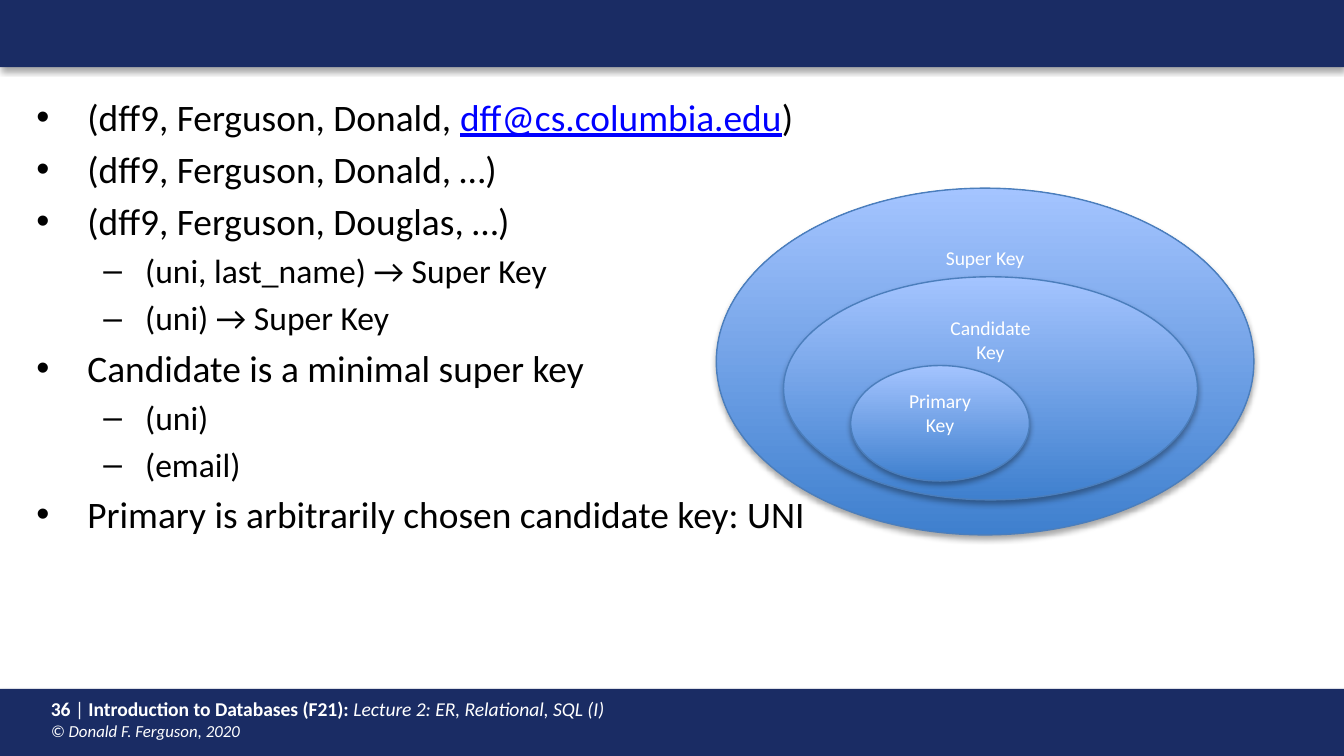
from copy import deepcopy

from lxml import etree
from pptx import Presentation
from pptx.dml.color import RGBColor
from pptx.enum.shapes import MSO_SHAPE
from pptx.enum.text import MSO_ANCHOR, MSO_AUTO_SIZE, PP_ALIGN
from pptx.oxml.ns import qn
from pptx.util import Inches, Pt

RECTANGLE = MSO_SHAPE.RECTANGLE
OVAL = MSO_SHAPE.OVAL
TOP = MSO_ANCHOR.TOP
CENTER = PP_ALIGN.CENTER
NO_AUTOFIT = MSO_AUTO_SIZE.NONE

SLIDE_WIDTH = Inches(10)
SLIDE_HEIGHT = SLIDE_WIDTH * 9 // 16
BAND_HEIGHT = Inches(0.5)

FONT = "Calibri"
NAVY, WHITE, BLACK, LINK_BLUE = "1A2C64", "FFFFFF", "000000", "0000FF"
OVAL_STOPS = ("3F80CE", "A4C4FF")
OVAL_LINE = "4B7EBC"

LEVELS = (
    {"size": 20, "margin": 0.38, "hanging": 0.38, "bullet": "•"},
    {"size": 18, "margin": 0.81, "hanging": 0.31, "bullet": "–"},
)
EMAIL = {"color": LINK_BLUE, "underline": True}
BODY = (
    (0, [("(dff9, Ferguson, Donald, ", {}), ("dff@cs.columbia.edu", EMAIL), (")", {})]),
    (0, [("(dff9, Ferguson, Donald, …)", {})]),
    (0, [("(dff9, Ferguson, Douglas, …)", {})]),
    (1, [("(uni, last_name) → Super Key", {})]),
    (1, [("(uni) → Super Key", {})]),
    (0, [("Candidate is a minimal super key", {})]),
    (1, [("(uni)", {})]),
    (1, [("(email)", {})]),
    (0, [("Primary is arbitrarily chosen candidate key: UNI", {})]),
)
FOOTER = (
    ("36 ", {"bold": True}),
    ("|", {}),
    (" Introduction to Databases (F21): ", {"bold": True}),
    ("Lecture 2: ER, Relational, SQL (I)\n", {"italic": True}),
    ("© Donald F. Ferguson, 2020", {"italic": True, "size": Pt(9)}),
)
KEYS = (
    ("Super Key", (5.33, 1.4, 4, 2.58)),
    ("Candidate\nKey", (5.83, 2.06, 3.08, 1.66)),
    ("Primary\nKey", (6.33, 2.72, 1.33, 0.86)),
)


def color(value):
    return RGBColor.from_string(value)


def add_span(para, text, **formats):
    span = para.add_run()
    span.text = text
    span.font.color.rgb = color(formats.pop("color"))
    for name, value in {"name": FONT, **formats}.items():
        setattr(span.font, name, value)
    return span


def add_lines(para, text, **formats):
    for index, line in enumerate(text.split("\n")):
        if index:
            para.add_line_break()
            line_break = para._p.findall(qn("a:br"))[-1]
            line_break.append(deepcopy(span.font._rPr))
        if line:
            span = add_span(para, line, **formats)


def add_shadow(shape):
    shape.shadow.inherit = False
    effects = shape._element.spPr.find(qn("a:effectLst"))
    shadow = etree.SubElement(
        effects, qn("a:outerShdw"), blurRad=str(Pt(3.1)), dist=str(Pt(1.8)),
        dir="5400000", rotWithShape="0")
    shade = etree.SubElement(shadow, qn("a:srgbClr"), val=BLACK)
    etree.SubElement(shade, qn("a:alpha"), val="35000")


def add_band(slide, top):
    band = slide.shapes.add_shape(RECTANGLE, 0, top, SLIDE_WIDTH, BAND_HEIGHT)
    band.fill.solid()
    band.fill.fore_color.rgb = color(NAVY)
    band.line.fill.background()
    add_shadow(band)


def add_footer(slide):
    box = slide.shapes.add_textbox(*map(Inches, (0.28, 5.14, 7.42, 0.43)))
    box.text_frame.word_wrap = True
    para = box.text_frame.paragraphs[0]
    for text, formats in FOOTER:
        add_lines(para, text, **{"color": WHITE, "size": Pt(10.5), **formats})


def set_bullet(para, level):
    properties = para._p.get_or_add_pPr()
    properties.set("marL", str(Inches(level["margin"])))
    properties.set("indent", str(-Inches(level["hanging"])))
    etree.SubElement(properties, qn("a:buChar"), char=level["bullet"])


def fill_body(body):
    places = zip(("left", "top", "width", "height"), (0.17, 0.65, 9.67, 4.42))
    for name, value in places:
        setattr(body, name, Inches(value))
    frame = body.text_frame
    frame.auto_size = NO_AUTOFIT
    for index, (depth, spans) in enumerate(BODY):
        para = frame.add_paragraph() if index else frame.paragraphs[0]
        level = LEVELS[depth]
        para.level = depth
        set_bullet(para, level)
        para.space_before = Pt(0.2 * level["size"] if index else 0)
        for text, formats in spans:
            add_span(para, text, **{"color": BLACK, "size": Pt(level["size"]), **formats})


def add_key(slide, text, place):
    oval = slide.shapes.add_shape(OVAL, *map(Inches, place))
    oval.fill.gradient()
    oval.fill.gradient_angle = 90
    for stop, value in zip(oval.fill.gradient_stops, OVAL_STOPS):
        stop.color.rgb = color(value)
    oval.line.color.rgb = color(OVAL_LINE)
    oval.line.width = Pt(0.75)
    add_shadow(oval)
    oval.text_frame.word_wrap = True
    oval.text_frame.vertical_anchor = TOP
    para = oval.text_frame.paragraphs[0]
    para.alignment = CENTER
    add_lines(para, text, color=WHITE, size=Pt(10.5))


def main():
    deck = Presentation()
    deck.slide_width, deck.slide_height = SLIDE_WIDTH, SLIDE_HEIGHT
    slide = deck.slides.add_slide(deck.slide_layouts[1])
    title = slide.shapes.title._element
    title.getparent().remove(title)
    fill_body(slide.placeholders[1])
    for top in (SLIDE_HEIGHT - BAND_HEIGHT, 0):
        add_band(slide, top)
    add_footer(slide)
    for text, place in KEYS:
        add_key(slide, text, place)
    deck.save("out.pptx")


if __name__ == "__main__":
    main()
